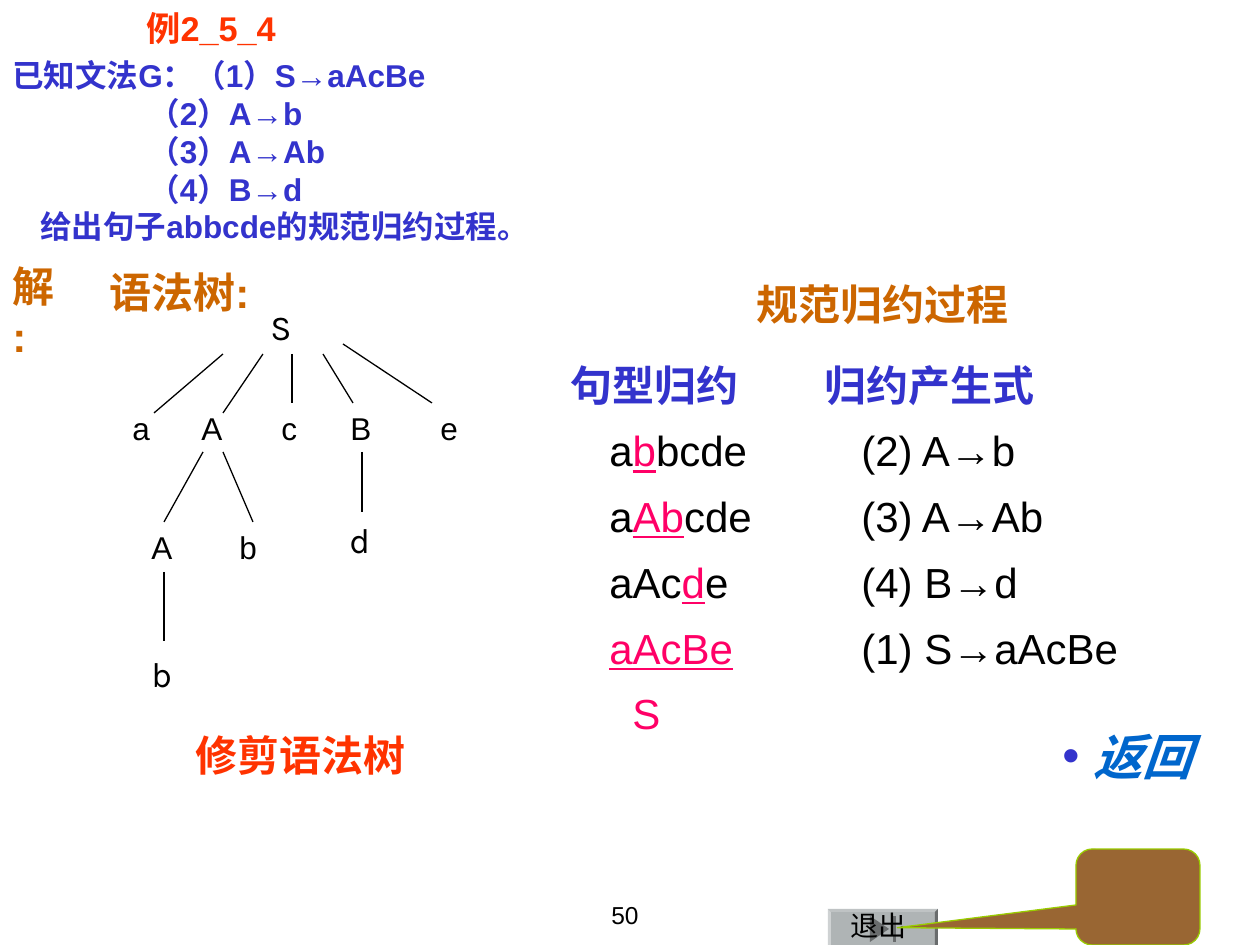
"""Build the slide on canonical reduction with a pruned syntax tree."""
from lxml.etree import SubElement as Sub
from pptx import Presentation
from pptx.dml.color import RGBColor
from pptx.enum.shapes import MSO_CONNECTOR as Link, MSO_SHAPE as Kind
from pptx.enum.text import MSO_ANCHOR as Anchor, PP_ALIGN as Align
from pptx.oxml.ns import qn
from pptx.util import Pt

UNIT = 914400 / 126
BLUE, BROWN, RED, PINK, BLACK = "3333CC", "CC6600", "FF3300", "FF0066", "000000"

body = dict(name="Arial", size=Pt(18), bold=False, color=BLACK)
rule = {**body, "bold": True, "color": BLUE}
head = {**rule, "size": Pt(24)}
brown = {**head, "color": BROWN}
red = {**head, "color": RED}
title = {**red, "size": Pt(19.6)}
step = {**body, "size": Pt(24)}
pink = {**step, "color": PINK}
mark = {**pink, "underline": True}
tree = {**body, "name": "Karla", "size": Pt(20)}
page = {**body, "size": Pt(14)}
leave = {**body, "name": "DejaVu Sans", "size": Pt(16)}
back = dict(name="Noto Sans CJK JP", size=Pt(28), bold=True, italic=True, color="0066CC")

mid = dict(vertical_anchor=Anchor.MIDDLE)
loose = dict(line_spacing=1.2, space_before=Pt(3))

grammar = [(0, "已知文法G：（1）S→aAcBe"), (136, "（2）A→b"), (136, "（3）A→Ab"),
           (136, "（4）B→d"), (28, "给出句子abbcde的规范归约过程。")]
forms = [("a", "b", "bcde"), ("a", "Ab", "cde"), ("aAc", "d", "e"), ("", "aAcBe", "")]
used = ["(2) A→b", "(3) A→Ab", "(4) B→d", "(1) S→aAcBe"]

labels = [
    ("50", (540, 894, 111, 50), page, {}, dict(alignment=Align.RIGHT)),
    ("例2_5_4", (0, 0, 422, 55), title, mid, dict(alignment=Align.CENTER)),
    ("语法树:", (97, 260, 183, 63), brown, mid, {}),
    ("修剪语法树", (183, 723, 251, 63), red, mid, {}),
    ("规范归约过程", (744, 272, 290, 63), brown, {}, {}),
    ("解\n:", (0, 254, 74, 113), brown, {}, {}),
]
nodes = [("S", 271, 299, tree), ("d", 350, 512, tree), ("b", 152, 646, tree),
         ("a", 133, 403, body), ("A", 202, 403, body), ("c", 282, 403, body),
         ("B", 351, 403, body), ("e", 441, 403, body),
         ("A", 152, 522, body), ("b", 240, 522, body)]
edges = [(223, 354, 154, 413), (263, 354, 223, 413), (292, 354, 292, 403),
         (323, 354, 353, 403), (343, 344, 432, 403), (362, 452, 362, 512),
         (203, 452, 164, 522), (223, 452, 253, 522), (164, 572, 164, 641)]

left, top, right, low, rim = 828, 909, 938, 945, 3
button = [
    ([(left, top), (right, top), (right, low), (left, low)], "AFB4B5"),
    ([(left, top), (right, top), (right - rim, top + rim), (left + rim, top + rim)], "BFC3C4"),
    ([(right, top), (right, low), (right - rim, low), (right - rim, top + rim)], "696C6D"),
    ([(left, top), (left, low), (left + rim, low), (left + rim, top + rim)], "CFD2D3"),
    ([(889, 929), (870, 942), (870, 916)], "696C6D"),
    ([(893, 916), (896, 916), (896, 942), (893, 942)], "696C6D"),
]


def px(*vals):
    return [round(v * UNIT) for v in vals]


def hue(code):
    return RGBColor.from_string(code)


def text(rect, paras, frame={}, lay={}):
    """Add a text box whose paragraphs are pairs of indent and styled runs."""
    box = slide.shapes.add_textbox(*px(*rect)).text_frame
    put(box, {"word_wrap": True, **frame})
    for i, (gap, runs) in enumerate(paras):
        para = box.add_paragraph() if i else box.paragraphs[0]
        put(para, lay)
        if gap:
            para._p.get_or_add_pPr().set("marL", str(px(gap)[0]))
        for words, look in runs:
            for j, part in enumerate(words.split("\n")):
                if j:
                    para.add_line_break()
                run = para.add_run()
                run.text = part
                put(run.font, {k: v for k, v in look.items() if k != "color"})
                run.font.color.rgb = hue(look["color"])
    return box


def put(thing, vals):
    for key, val in vals.items():
        setattr(thing, key, val)


def paint(shape, fill, line=None):
    shape.shadow.inherit = False
    shape.fill.solid()
    shape.fill.fore_color.rgb = hue(fill)
    if line:
        shape.line.color.rgb = hue(line)
        shape.line.width = Pt(0.74)
    else:
        shape.line.fill.background()


deck = Presentation()
deck.slide_width, deck.slide_height = px(1260, 945)
slide = deck.slides.add_slide(deck.slide_layouts[6])

for dots, tone in button:
    pen = slide.shapes.build_freeform(*dots[0], scale=UNIT)
    pen.add_line_segments(dots[1:], close=True)
    paint(pen.convert_to_shape(), tone)
text((838, 902, 89, 42), [(0, [("退出", leave)])])

call = slide.shapes.add_shape(Kind.ROUNDED_RECTANGULAR_CALLOUT, *px(1076, 849, 124, 96))
for i, val in enumerate((-1.94, 0.32, 0.17)):
    call.adjustments[i] = val
paint(call, "996633", "99CC00")

text((0, 50, 1260, 202), [(gap, [(words, rule)]) for gap, words in grammar])
for words, rect, look, frame, lay in labels:
    text(rect, [(0, [(words, look)])], frame, lay)

for x, y, u, v in edges:
    edge = slide.shapes.add_connector(Link.STRAIGHT, *px(x, y, u, v))
    edge.line.color.rgb = hue(BLACK)
    edge.line.width = Pt(0.74)
    Sub(edge._element.spPr, qn("a:effectLst"))
for word, x, y, look in nodes:
    text((x - 13, y, 50, 52), [(0, [(word, look)])])

rows = [(46, [(w, s) for w, s in zip(parts, (step, mark, step)) if w]) for parts in forms]
text((551, 343, 250, 402), [(7, [("句型归约", head)]), *rows, (69, [("S", pink)])], {}, loose)
text((803, 343, 393, 402), [(9, [("归约产生式", head)])]
     + [(46, [(words, step)]) for words in used], {}, loose)

link = text((1050, 720, 175, 99), [(31, [("返回", back)])])
prop = link.paragraphs[0]._p.get_or_add_pPr()
prop.set("indent", str(-px(31)[0]))
Sub(Sub(prop, qn("a:buClr")), qn("a:srgbClr")).set("val", BLUE)
Sub(prop, qn("a:buFont")).set("typeface", "Arial")
Sub(prop, qn("a:buChar")).set("char", "•")

deck.save("out.pptx")
